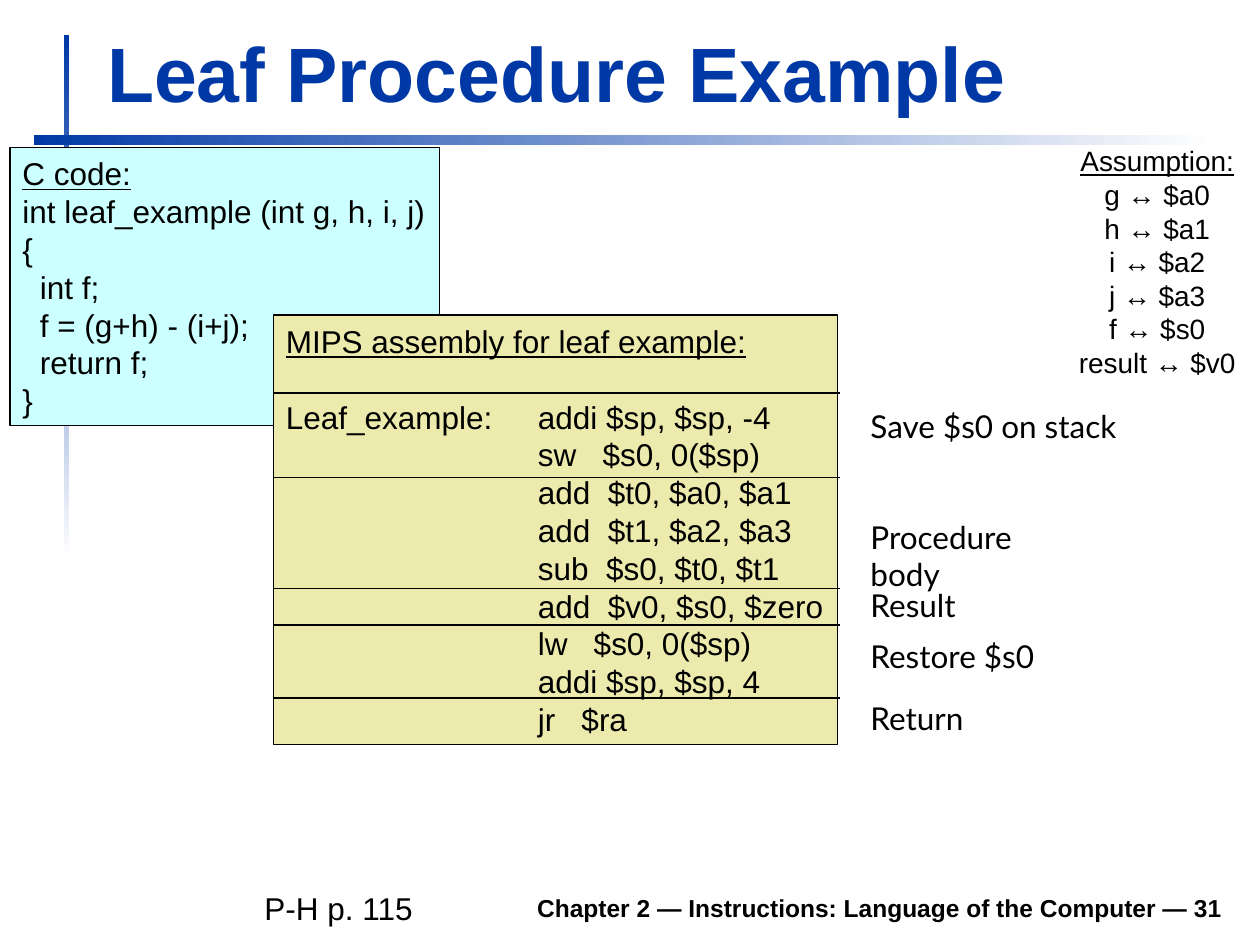
from lxml.etree import SubElement
from pptx import Presentation
from pptx.dml.color import RGBColor
from pptx.enum.shapes import MSO_CONNECTOR as Link, MSO_SHAPE as Shape
from pptx.enum.text import MSO_ANCHOR as Anchor, PP_ALIGN as Align
from pptx.oxml.ns import qn
from pptx.util import Inches, Pt

BLUE = RGBColor(0x00, 0x39, 0xA6)
CYAN = RGBColor(0xCC, 0xFF, 0xFF)
SAND = RGBColor(0xEC, 0xEA, 0xAC)
BLACK = RGBColor(0, 0, 0)
WHITE = RGBColor(255, 255, 255)

WIDE, HIGH = 10, 7.5

C_CODE = ["C code:", "int leaf_example (int g, h, i, j)", "{", "  int f;",
          "  f = (g+h) - (i+j);", "  return f;", "}"]
MIPS = ["addi $sp, $sp, -4", "sw   $s0, 0($sp)", "add  $t0, $a0, $a1",
        "add  $t1, $a2, $a3", "sub  $s0, $t0, $t1", "add  $v0, $s0, $zero",
        "lw   $s0, 0($sp)", "addi $sp, $sp, 4", "jr   $ra"]
PAIRS = [("g", "$a0"), ("h", "$a1"), ("i", "$a2"), ("j", "$a3"),
         ("f", "$s0"), ("result", "$v0")]
# Rules and notes, as distances below the top of the assembly box
RULES = [0.62, 1.29, 2.17, 2.46, 3.04]
NOTES = [("Save $s0 on stack", 0.68, 2.19), ("Procedure body", 1.56, 1.9),
         ("Result", 2.1, 0.88), ("Restore $s0", 2.51, 1.5),
         ("Return", 3.0, 0.94)]


def write(shape, lines, size=18, face="Arial", color=BLACK, bold=False,
          align=Align.LEFT, anchor=Anchor.TOP, head=False, wrap=False):
    """Fill a shape with paragraphs; head underlines the first one."""
    frame = shape.text_frame
    frame.word_wrap = wrap
    frame.vertical_anchor = anchor
    for n, line in enumerate(lines):
        para = frame.paragraphs[0] if n == 0 else frame.add_paragraph()
        para.text = line
        para.alignment = align
        for run in para.runs:
            font = run.font
            font.size, font.name, font.bold = Pt(size), face, bold
            font.color.rgb = color
            font.underline = head and n == 0
    return frame


def label(slide, box, lines, **style):
    text = slide.shapes.add_textbox(*map(Inches, box))
    return write(text, lines, **style)


def block(slide, box):
    rect = slide.shapes.add_shape(Shape.RECTANGLE, *map(Inches, box))
    rect.shadow.inherit = False
    return rect


def panel(slide, box, fill, lines):
    """Outlined code box with an underlined heading."""
    rect = block(slide, box)
    rect.fill.solid()
    rect.fill.fore_color.rgb = fill
    rect.line.color.rgb = BLACK
    rect.line.width = Pt(0.75)
    return write(rect, lines, anchor=Anchor.MIDDLE, head=True)


def fade(slide, box, angle):
    """Bar that fades from blue to white."""
    bar = block(slide, box)
    bar.line.fill.background()
    bar.fill.gradient()
    bar.fill.gradient_angle = angle
    for stop, color, place in zip(bar.fill.gradient_stops, (BLUE, WHITE), (0, 1)):
        stop.color.rgb = color
        stop.position = place


def rule(slide, left, right, top):
    line = slide.shapes.add_connector(
        Link.STRAIGHT, Inches(right), Inches(top), Inches(left), Inches(top))
    line.line.color.rgb = BLACK
    line.line.width = Pt(0.75)
    SubElement(line._element.spPr, qn("a:effectLst"))


def tab(para, place):
    """Give a paragraph one left tab stop."""
    stops = SubElement(para._p.get_or_add_pPr(), qn("a:tabLst"))
    SubElement(stops, qn("a:tab"), pos=str(Inches(place)), algn="l")


def header(slide, box):
    """Title with its two fading bars."""
    left, top, width, height = box
    fade(slide, (left - 0.24, top + 0.12, 0.04, 4.17), 270)
    fade(slide, (left - 0.48, top + 0.91, 9.37, 0.08), 0)
    title = slide.shapes.title
    title.left, title.top, title.width, title.height = map(Inches, box)
    write(title, ["Leaf Procedure Example"], size=44, color=BLUE, bold=True,
          anchor=Anchor.BOTTOM, wrap=True)


def listing(slide, box):
    """Assembly code, its dividing rules and the notes beside it."""
    left, top, width, height = box
    code = ["Leaf_example:\t" + MIPS[0]] + ["\t" + line for line in MIPS[1:]]
    frame = panel(slide, box, SAND, ["MIPS assembly for leaf example:"] + code)
    frame.paragraphs[1].space_before = Pt(21.6)
    for para in frame.paragraphs[1:]:
        tab(para, 2)
    for drop in RULES:
        rule(slide, left, left + width + 0.02, top + drop)
    for note, drop, span in NOTES:
        label(slide, (left + width + 0.16, top + drop, span, 0.4), [note],
              face="Lato", wrap=note == "Procedure body")


def footer(slide, box):
    left, top, width, height = box
    label(slide, (left + 0.15, top + 0.03, 1.39, height), ["P-H p. 115"])
    label(slide, box, ["Chapter 2 — Instructions: Language of the Computer — 31"],
          size=14, bold=True, align=Align.RIGHT, anchor=Anchor.BOTTOM, wrap=True)


def main():
    deck = Presentation()
    deck.slide_width, deck.slide_height = Inches(WIDE), Inches(HIGH)
    slide = deck.slides.add_slide(deck.slide_layouts[5])
    header(slide, (0.75, 0.16, 9.03, 0.83))
    panel(slide, (0.08, 1.17, 3.41, 2.21), CYAN, C_CODE)
    listing(slide, (2.17, 2.5, 4.48, 3.41))
    label(slide, (8.45, 1.08, 1.47, 1.99),
          ["Assumption:"] + [f"{name} ↔ {reg}" for name, reg in PAIRS],
          size=16, align=Align.CENTER, anchor=Anchor.MIDDLE, head=True)
    footer(slide, (1.85, 6.98, 7.95, 0.39))
    deck.save("out.pptx")


if __name__ == "__main__":
    main()
